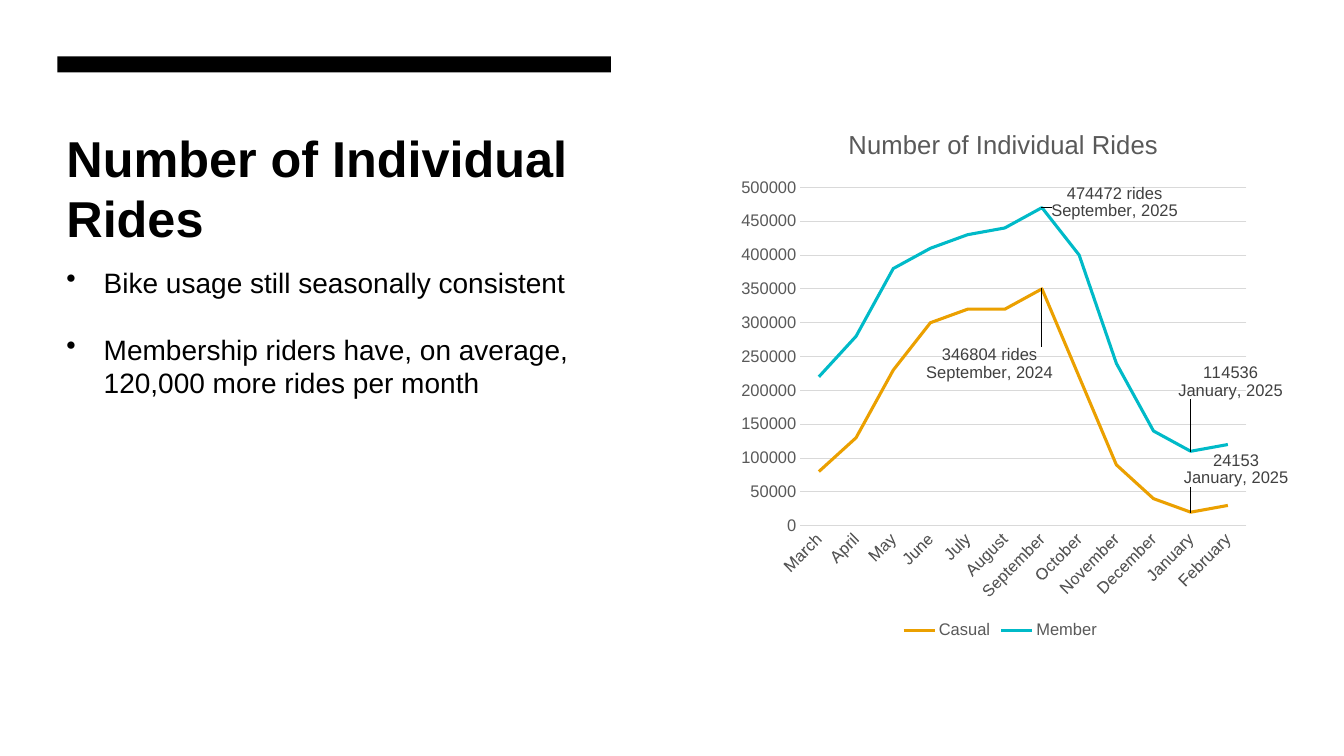
import pptx
import pptx.chart.data
import pptx.dml.color
import pptx.enum.chart
import pptx.enum.shapes
import pptx.enum.text
import pptx.oxml
import pptx.oxml.ns
import pptx.util
from dataclasses import dataclass

Inches, Pt = pptx.util.Inches, pptx.util.Pt
qn = pptx.oxml.ns.qn
C_NS = "http://schemas.openxmlformats.org/drawingml/2006/chart"
C15_NS = "http://schemas.microsoft.com/office/drawing/2012/chart"


@dataclass(frozen=True)
class Theme:
    font: str = "Arial"
    ink: str = "000000"
    muted: str = "595959"
    label: str = "404040"
    grid: str = "D9D9D9"
    casual: str = "EBA000"
    member: str = "00BAC8"
    title_size: float = 36
    body_size: float = 20
    chart_title_size: float = 18.62
    chart_size: float = 11.97


THEME = Theme()
MONTHS = ["March", "April", "May", "June", "July", "August", "September",
          "October", "November", "December", "January", "February"]
SEPTEMBER, JANUARY = MONTHS.index("September"), MONTHS.index("January")
# name, colour, rides per month, callouts as month: (text, x shift, y shift)
RIDES = [
    ("Casual", THEME.casual,
     [80000, 130000, 230000, 300000, 320000, 320000, 350000, 220000, 90000, 40000, 20000, 30000],
     {SEPTEMBER: ("346804 rides\nSeptember, 2024", -0.22, 0.14),
      JANUARY: ("24153\nJanuary, 2025", -0.02, -0.08)}),
    ("Member", THEME.member,
     [220000, 280000, 380000, 410000, 430000, 440000, 470000, 400000, 240000, 140000, 110000, 120000],
     {SEPTEMBER: ("474472 rides\nSeptember, 2025", 0.01, -0.01),
      JANUARY: ("114536\nJanuary, 2025", -0.03, -0.13)}),
]


def rgb(value):
    return pptx.dml.color.RGBColor.from_string(value)


def style_font(font, size, color, bold=False):
    font.name, font.size, font.bold = THEME.font, Pt(size), bold
    font.color.rgb = rgb(color)


def write(tf, text, size, color, bold=False, gap=0, bullet=False):
    """Fill a text frame with one paragraph per line of text."""
    for i, line in enumerate(text.split("\n")):
        p = tf.paragraphs[0] if i == 0 else tf.add_paragraph()
        r = p.add_run()
        r.text = line
        style_font(r.font, size, color, bold)
        if gap and i:
            p.space_before = Pt(gap)
        if bullet:
            pPr = p._p.get_or_add_pPr()
            pPr.set("marL", str(Inches(0.37)))
            pPr.set("indent", str(-Inches(0.37)))
            pPr.append(pptx.oxml.parse_xml(
                '<a:buChar xmlns:a="http://schemas.openxmlformats.org/drawingml/2006/main" char="•"/>'))


def set_layout(parent, index, x, y, size=None):
    """Place a chart part by fractions of the chart; a part with a size is an inner plot."""
    for old in parent.findall(qn("c:layout")):
        parent.remove(old)
    tags = [("x", x), ("y", y)]
    if parent.tag != qn("c:dLbl"):
        tags = [("xMode", "edge"), ("yMode", "edge"), *tags]
    if size:
        tags = [("layoutTarget", "inner"), *tags, ("w", size[0]), ("h", size[1])]
    body = "".join(f'<c:{tag} val="{val}"/>' for tag, val in tags)
    parent.insert(index, pptx.oxml.parse_xml(
        f'<c:layout xmlns:c="{C_NS}"><c:manualLayout>{body}</c:manualLayout></c:layout>'))


class Deck:
    def __init__(self, theme):
        self.theme = theme
        self.prs = pptx.Presentation()
        self.prs.slide_width, self.prs.slide_height = Inches(13.33), Inches(7.5)
        self.s = self.prs.slides.add_slide(self.prs.slide_layouts[6])

    def bar(self, *box):
        sp = self.s.shapes.add_shape(
            pptx.enum.shapes.MSO_SHAPE.RECTANGLE, *map(Inches, box))
        sp.shadow.inherit = False
        sp.fill.solid()
        sp.fill.fore_color.rgb = rgb(self.theme.ink)
        sp.line.fill.background()

    def text(self, box, text, **fmt):
        tf = self.s.shapes.add_textbox(*map(Inches, box)).text_frame
        tf.word_wrap = True
        write(tf, text, color=self.theme.ink, **fmt)

    def line_chart(self, box, title, months, rides):
        t, xl = self.theme, pptx.enum.chart
        data = pptx.chart.data.CategoryChartData(number_format="General")
        data.categories = months
        for name, _, values, _ in rides:
            data.add_series(name, values)
        chart = self.s.shapes.add_chart(
            xl.XL_CHART_TYPE.LINE, *map(Inches, box), data).chart
        style_font(chart.font, t.chart_size, t.muted)

        chart.has_title = True
        write(chart.chart_title.text_frame, title, t.chart_title_size, t.muted)
        chart.has_legend = True
        chart.legend.position = xl.XL_LEGEND_POSITION.BOTTOM
        chart.legend.include_in_layout = False
        style_font(chart.legend.font, t.chart_size, t.muted)
        self.axes(chart)
        for ser, (_, color, _, callouts) in zip(chart.plots[0].series, rides):
            ser.smooth = False
            ser.marker.style = xl.XL_MARKER_STYLE.NONE
            ser.format.line.width = Pt(2.25)
            ser.format.line.color.rgb = rgb(color)
            self.callouts(ser, callouts)
        root = chart._chartSpace
        set_layout(root.find(".//" + qn("c:title")), 1, 0.2, 0.03)
        set_layout(root.find(".//" + qn("c:plotArea")), 0, 0.12, 0.15, (0.82, 0.63))
        set_layout(root.find(".//" + qn("c:legend")), 1, 0.3, 0.95)

    def axes(self, chart):
        t, xl = self.theme, pptx.enum.chart
        cat, val = chart.category_axis, chart.value_axis
        for axis in (cat, val):
            axis.major_tick_mark = axis.minor_tick_mark = xl.XL_TICK_MARK.NONE
            style_font(axis.tick_labels.font, t.chart_size, t.muted)
        val.minimum_scale, val.maximum_scale, val.major_unit = 0, 500000, 50000
        val.format.line.fill.background()
        for line in (cat.format.line, val.major_gridlines.format.line):
            line.color.rgb = rgb(t.grid)
            line.width = Pt(0.75)
        cat._element.find(".//" + qn("a:bodyPr")).set("rot", str(-45 * 60000))

    def callouts(self, ser, callouts):
        """Label chosen points, with leader lines back to the series."""
        ser.data_labels.show_value = False
        for month, (text, x, y) in callouts.items():
            label = ser.points[month].data_label
            write(label.text_frame, text, self.theme.chart_size, self.theme.label)
            label.position = pptx.enum.chart.XL_LABEL_POSITION.RIGHT
            dLbl = label.text_frame.paragraphs[0]._p.xpath("ancestor::c:dLbl")[0]
            set_layout(dLbl, 1, x, y)
        ser._element.find(qn("c:dLbls")).append(pptx.oxml.parse_xml(
            f'<c:extLst xmlns:c="{C_NS}"><c:ext uri="{{CE6537A1-D6FC-4f65-9D91-7224C49458BB}}" '
            f'xmlns:c15="{C15_NS}"><c15:showLeaderLines val="1"/></c:ext></c:extLst>'))


def main():
    deck = Deck(THEME)
    deck.bar(0.57, 0.56, 5.49, 0.16)
    deck.text((0.56, 1.21, 5.49, 1.26), "Number of Individual Rides",
              size=THEME.title_size, bold=True)
    deck.line_chart((7.29, 1.06, 5.49, 5.33), "Number of Individual Rides", MONTHS, RIDES)
    deck.text((0.56, 2.58, 5.29, 1.45),
              "Bike usage still seasonally consistent\n"
              "Membership riders have, on average, 120,000 more rides per month",
              size=THEME.body_size, gap=24, bullet=True)
    deck.prs.save("out.pptx")


if __name__ == "__main__":
    main()
